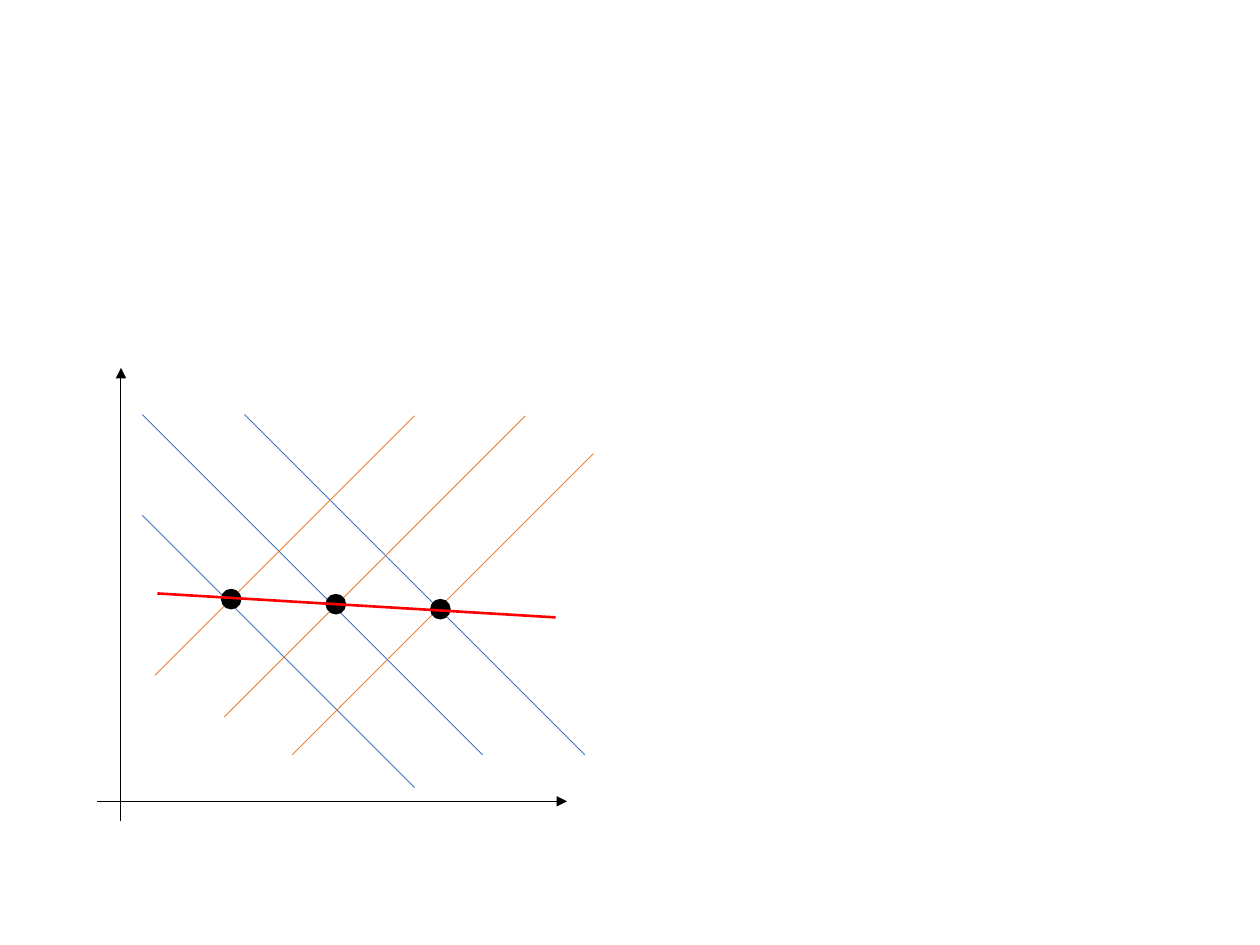
from lxml import etree
from pptx import Presentation
from pptx.dml.color import RGBColor
from pptx.enum import shapes as kinds
from pptx.oxml.ns import qn
from pptx.util import Inches, Pt

BLACK = RGBColor(0x00, 0x00, 0x00)
BLUE = RGBColor(0x44, 0x72, 0xC4)
ORANGE = RGBColor(0xED, 0x7D, 0x31)
RED = RGBColor(0xFF, 0x00, 0x00)

# Content, in inches
AXES = [(0.77, 6.36, 4.5, 6.36), (0.96, 6.52, 0.96, 2.92)]
# 45-degree curves: start x, start y, run
DEMAND = [(1.13, 4.09, 2.16), (1.13, 3.29, 2.7), (1.94, 3.29, 2.7)]
SUPPLY = [(1.23, 5.36, 2.06), (1.78, 5.69, 2.39), (2.32, 5.99, 2.39)]
# Equilibrium dots: first corner, step and size
DOT_X, DOT_Y, STEP_X, STEP_Y, DOT = 1.76, 4.68, 0.83, 0.04, 0.15
TREND = [(1.25, 4.71), (4.41, 4.9)]

deck = Presentation()
deck.slide_width, deck.slide_height = Inches(10), Inches(7.5)
slide = deck.slides.add_slide(deck.slide_layouts[6])
group = slide.shapes.add_group_shape()


def add_line(x1, y1, x2, y2, color, arrow=False):
    line = group.shapes.add_connector(
        kinds.MSO_CONNECTOR.STRAIGHT, *map(Inches, (x1, y1, x2, y2)))
    line.line.color.rgb = color
    line.line.width = Pt(0.5)
    if arrow:
        etree.SubElement(line.line._get_or_add_ln(), qn("a:tailEnd"),
                         type="triangle")
    etree.SubElement(line._element.spPr, qn("a:effectLst"))


# Axes
for axis in AXES:
    add_line(*axis, BLACK, arrow=True)

# Falling and rising curves
for curves, color, slope in ((DEMAND, BLUE, 1), (SUPPLY, ORANGE, -1)):
    for x, y, run in curves:
        add_line(x, y, x + run, y + slope * run, color)

# Equilibrium dots
for i in range(len(DEMAND)):
    dot = group.shapes.add_shape(
        kinds.MSO_SHAPE.OVAL, Inches(DOT_X + i * STEP_X),
        Inches(DOT_Y + i * STEP_Y), Inches(DOT), Inches(DOT))
    dot.shadow.inherit = False
    dot.fill.solid()
    dot.fill.fore_color.rgb = BLACK
    dot.line.color.rgb = BLACK
    dot.line.width = Pt(1)

# Trend through the dots
start, end = [tuple(map(Inches, point)) for point in TREND]
path = group.shapes.build_freeform(*start)
path.add_line_segments([end], close=False)
trend = path.convert_to_shape()
trend.shadow.inherit = False
trend.fill.background()
trend.line.color.rgb = RED
trend.line.width = Pt(1.5)

deck.save("out.pptx")
